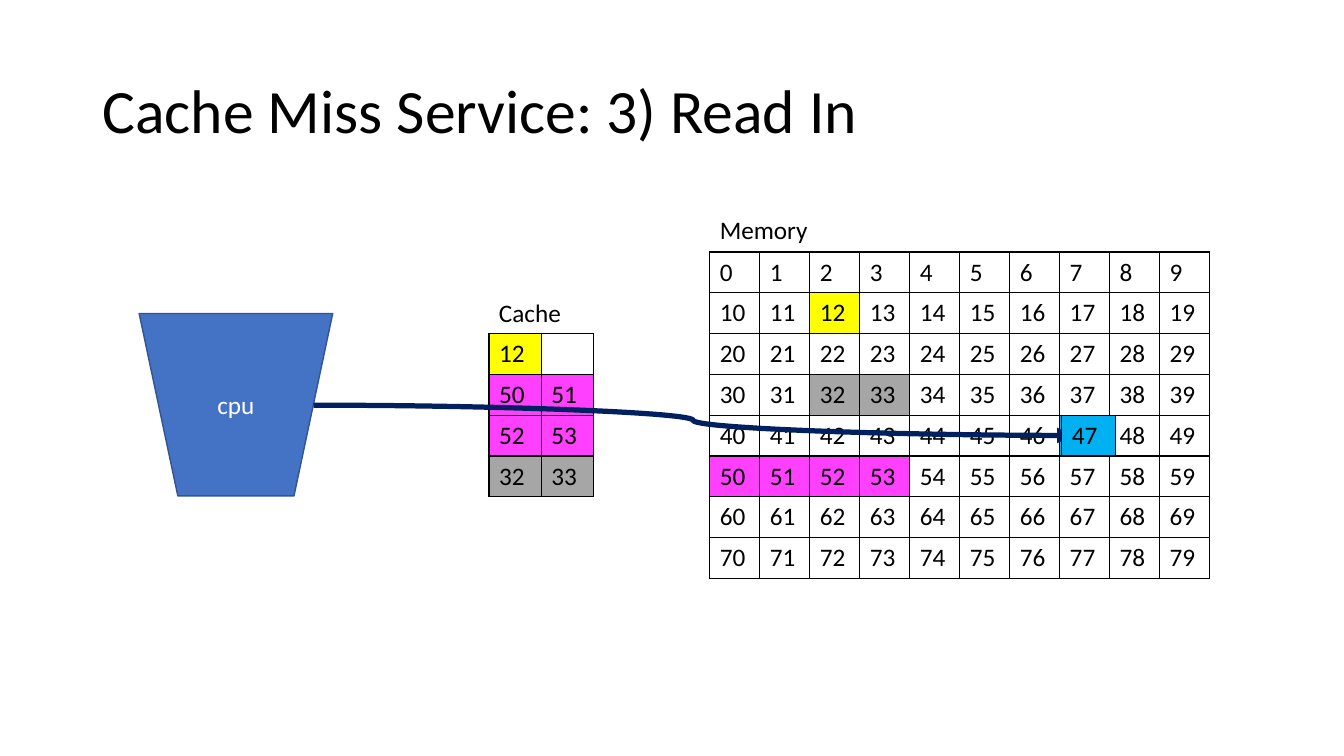
from lxml import etree
from pptx import Presentation, util as u
from pptx.dml.color import RGBColor
from pptx.enum import shapes, text
from pptx.oxml.ns import qn

PX = 9144
COLORS = {
    "black": "000000",
    "white": "FFFFFF",
    "yellow": "FFFF00",
    "gray": "A6A6A6",
    "magenta": "FF40FF",
    "cyan": "00B0F0",
    "cpu": "4472C4",
    "cpu_edge": "325491",
    "arrow": "002060",
}
MEMORY_FILLS = {
    12: "yellow", 32: "gray", 33: "gray", 47: "cyan", 67: "white",
    **{address: "magenta" for address in range(50, 54)},
}
CACHE_FILLS = {**MEMORY_FILLS, "": "white"}


def rgb(name):
    return RGBColor.from_string(COLORS[name])


def px(*lengths):
    return [round(length * PX) for length in lengths]


def write(frame, words, size=18, color="black", align=text.PP_ALIGN.LEFT, spacing=None):
    paragraph = frame.paragraphs[0]
    paragraph.alignment = align
    if spacing:
        paragraph.line_spacing = spacing
    run = paragraph.add_run()
    run.text = words
    run.font.name = "Calibri"
    run.font.size = u.Pt(size)
    run.font.color.rgb = rgb(color)


def draw_borders(cell):
    properties = cell._tc.get_or_add_tcPr()
    for position, side in enumerate(("lnL", "lnR", "lnT", "lnB")):
        edge = etree.Element(qn(f"a:{side}"), w=str(u.Pt(1)))
        paint = etree.SubElement(edge, qn("a:solidFill"))
        etree.SubElement(paint, qn("a:srgbClr"), val=COLORS["black"])
        properties.insert(position, edge)


def add_title(slide, box, words):
    frame = slide.shapes.add_textbox(*px(*box)).text_frame
    frame.word_wrap = True
    frame.vertical_anchor = text.MSO_ANCHOR.MIDDLE
    write(frame, words, size=44, spacing=0.9)


def add_label(slide, box, words):
    frame = slide.shapes.add_textbox(*px(*box)).text_frame
    frame.word_wrap = False
    frame.auto_size = text.MSO_AUTO_SIZE.SHAPE_TO_FIT_TEXT
    write(frame, words)


def add_cells(slide, box, addresses, fills):
    width, height = box[2:]
    grid = slide.shapes.add_table(len(addresses), len(addresses[0]), *px(*box)).table
    grid.first_row = grid.horz_banding = False
    for column in grid.columns:
        column.width = px(width / len(addresses[0]))[0]
    for r, row in enumerate(addresses):
        grid.rows[r].height = px(height / len(addresses))[0]
        for c, address in enumerate(row):
            cell = grid.cell(r, c)
            if address in fills:
                cell.fill.solid()
                cell.fill.fore_color.rgb = rgb(fills[address])
            else:
                cell.fill.background()
            draw_borders(cell)
            write(cell.text_frame, str(address))


def add_memory(slide, box):
    left, top, width, height = box
    addresses = [list(range(start, start + 10)) for start in range(0, 80, 10)]
    add_cells(slide, box, addresses, MEMORY_FILLS)
    add_label(slide, (left, top - 42, 108, 40), "Memory")


def add_cache(slide, box):
    left, top, width, height = box
    add_cells(slide, box, [[12, ""], [50, 51], [52, 53], [32, 33]], CACHE_FILLS)
    add_label(slide, (left, top - 41, 82, 40), "Cache")


def add_cpu(slide, box):
    cpu = slide.shapes.add_shape(
        shapes.MSO_SHAPE.FLOWCHART_MANUAL_OPERATION, *px(*box))
    cpu.shadow.inherit = False
    cpu.fill.solid()
    cpu.fill.fore_color.rgb = rgb("cpu")
    cpu.line.color.rgb = rgb("cpu_edge")
    cpu.line.width = u.Pt(1)
    cpu.text_frame.vertical_anchor = text.MSO_ANCHOR.MIDDLE
    write(cpu.text_frame, "cpu", color="white", align=text.PP_ALIGN.CENTER)


def add_read_arrow(slide, box):
    left, top, width, height = box
    arrow = slide.shapes.add_connector(
        shapes.MSO_CONNECTOR.CURVE, *px(left, top, left + width, top + height))
    arrow.line.color.rgb = rgb("arrow")
    arrow.line.width = u.Pt(3.75)
    etree.SubElement(arrow.line._get_or_add_ln(), qn("a:tailEnd"), type="triangle")
    etree.SubElement(arrow._element.spPr, qn("a:effectLst"))


def main():
    deck = Presentation()
    deck.slide_width, deck.slide_height = u.Inches(13.33), u.Inches(7.5)
    slide = deck.slides.add_slide(deck.slide_layouts[6])
    add_title(slide, (92, 40, 1150, 145), "Cache Miss Service: 3) Read In")
    add_memory(slide, (704, 250, 496, 324))
    add_cache(slide, (485, 331, 104, 162))
    add_cpu(slide, (138, 311, 192, 181))
    add_read_arrow(slide, (311, 402, 753, 30))
    add_cells(slide, (1053, 412, 53, 40), [[47]], MEMORY_FILLS)
    deck.save("out.pptx")


if __name__ == "__main__":
    main()
